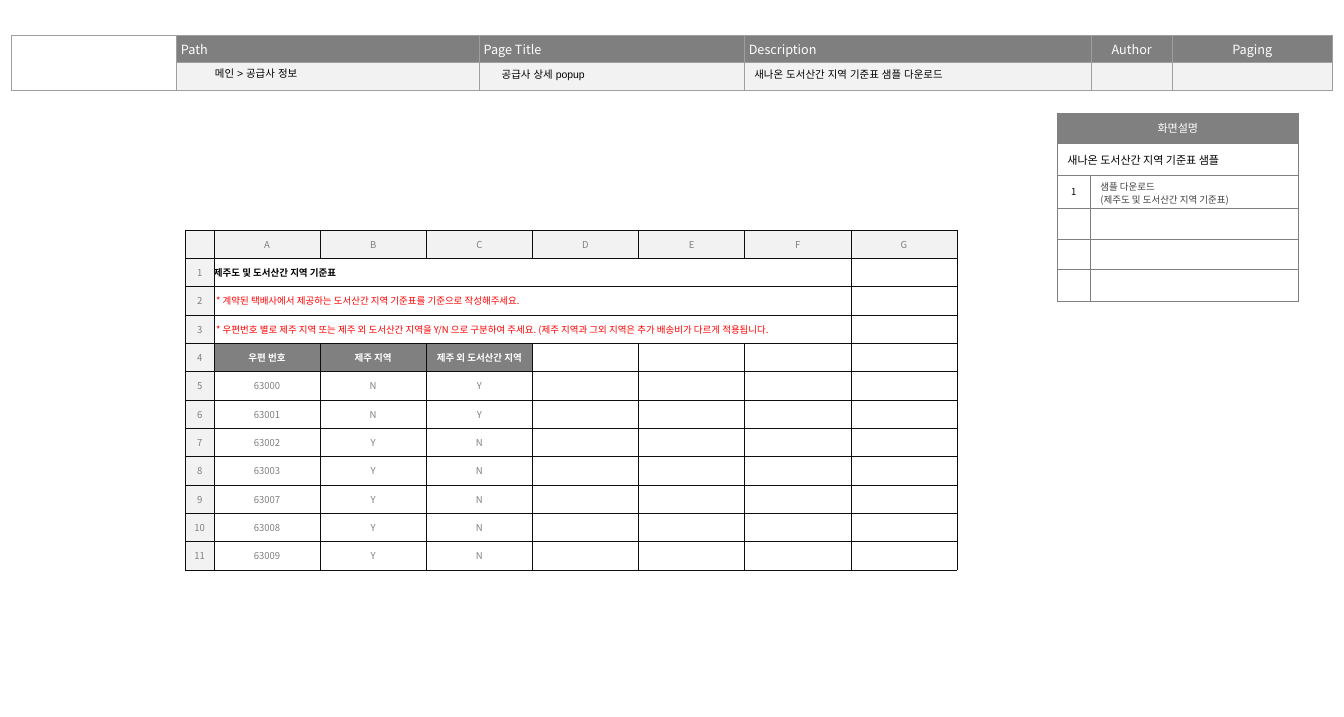
from lxml import etree
from pptx import Presentation
from pptx.dml.color import RGBColor
from pptx.enum.text import MSO_ANCHOR, PP_ALIGN
from pptx.oxml.ns import qn
from pptx.util import Inches, Pt

CENTER, LEFT = PP_ALIGN.CENTER, PP_ALIGN.LEFT
MIDDLE = MSO_ANCHOR.MIDDLE
COLORS = {
    "white": "FFFFFF", "black": "000000", "red": "FF0000", "gray": "808080",
    "header": "7F7F7F", "pale": "F2F2F2", "text": "404040",
    "header line": "9E9E9E", "sheet line": "0D0D0D",
}
KOREAN_FONT = "Noto Sans CJK KR"

presentation = Presentation()
presentation.slide_width = Inches(11.81)
presentation.slide_height = Inches(6.3)
slide = presentation.slides.add_slide(presentation.slide_layouts[6])


def write(text_frame, text, size, color, align=LEFT, bold=False, font=KOREAN_FONT):
    text_frame.text = text
    paragraph = text_frame.paragraphs[0]
    paragraph.alignment = align
    for run in paragraph.runs:
        run.font.size = Pt(size)
        run.font.bold = bold
        run.font.color.rgb = RGBColor.from_string(COLORS[color])
        run.font.name = font
        etree.SubElement(run.font._element, qn("a:ea"), typeface=font)


def add_grid(left, top, columns, rows, line, line_width, insets, open_edges):
    """Add a white table with ruled cells; open_edges lists sides without a line."""
    frame = slide.shapes.add_table(len(rows), len(columns), Inches(left), Inches(top),
                                   Inches(sum(columns)), Inches(sum(rows)))
    table = frame.table
    table.first_row = table.horz_banding = False
    for column, width in zip(table.columns, columns):
        column.width = Inches(width)
    for row_index, height in enumerate(rows):
        table.rows[row_index].height = Inches(height)
        for column_index in range(len(columns)):
            cell = table.cell(row_index, column_index)
            cell.vertical_anchor = MIDDLE
            cell.margin_left = cell.margin_right = Inches(insets[0])
            cell.margin_top = cell.margin_bottom = Inches(insets[1])
            etree.SubElement(cell.text_frame.paragraphs[0]._p, qn("a:endParaRPr"), sz="600")
            for side in "LRTB":
                edge = etree.SubElement(cell._tc.tcPr, qn("a:ln" + side), w=str(Pt(line_width)))
                if side in open_edges.get((row_index, column_index), ""):
                    etree.SubElement(edge, qn("a:noFill"))
                else:
                    fill = etree.SubElement(edge, qn("a:solidFill"))
                    etree.SubElement(fill, qn("a:srgbClr"), val=COLORS[line])
            cell.fill.solid()
            cell.fill.fore_color.rgb = RGBColor.from_string(COLORS["white"])
    return table


# Page header
header = add_grid(0.1, 0.31, [1.45, 2.66, 2.33, 3.05, 0.71, 0.45, 0.44, 0.52], [0.24, 0.24],
                  "header line", 0.75, (0.04, 0.04), {(1, 5): "R", (1, 6): "LR", (1, 7): "L"})
header.cell(0, 0).merge(header.cell(1, 0))
header.cell(0, 5).merge(header.cell(0, 7))
for row_index, fill in enumerate(["header", "pale"]):
    for column_index in range(1, 8):
        header.cell(row_index, column_index).fill.fore_color.rgb = RGBColor.from_string(COLORS[fill])
header_labels = [("Path", LEFT), ("Page Title", LEFT), ("Description", LEFT),
                 ("Author", CENTER), ("Paging", CENTER)]
for column_index, (label, align) in enumerate(header_labels, 1):
    write(header.cell(0, column_index).text_frame, label, 8, "white", align)

# Header values
for left, top, width, text in [
    (4.31, 0.55, 2.14, "공급사 상세 popup"),
    (6.53, 0.55, 2.87, "새나온 도서산간 지역 기준표 샘플 다운로드"),
    (1.79, 0.54, 2.5, "메인 > 공급사 정보"),
]:
    text_box = slide.shapes.add_textbox(Inches(left), Inches(top), Inches(width), Inches(0.21))
    text_box.text_frame.word_wrap = True
    write(text_box.text_frame, text, 6.6, "black", font="Arial")

# Screen notes
notes = add_grid(9.29, 0.99, [0.29, 1.83], [0.27, 0.28, 0.29, 0.27, 0.27, 0.28],
                 "gray", 0.25, (0.09, 0.05), {})
for row_index in range(2):
    notes.cell(row_index, 0).merge(notes.cell(row_index, 1))
notes.cell(0, 0).fill.fore_color.rgb = RGBColor.from_string(COLORS["gray"])
write(notes.cell(0, 0).text_frame, "화면설명", 7, "white", CENTER)
write(notes.cell(1, 0).text_frame, "새나온 도서산간 지역 기준표 샘플", 7, "black")
write(notes.cell(2, 0).text_frame, "1", 6, "black", CENTER)
description = notes.cell(2, 1)
description.margin_top, description.margin_bottom = Inches(0.03), Inches(0.01)
write(description.text_frame, "샘플 다운로드\v(제주도 및 도서산간 지역 기준표)", 6, "text")

# Spreadsheet sample: column letters and row numbers
sheet = add_grid(1.63, 2.02, [0.25] + [6.53 / 7] * 7, [2.99 / 12] * 12,
                 "sheet line", 0.25, (0, 0), {})
sheet.cell(0, 0).fill.fore_color.rgb = RGBColor.from_string(COLORS["pale"])
sheet_labels = [(0, index, letter) for index, letter in enumerate("ABCDEFG", 1)]
sheet_labels += [(number, 0, str(number)) for number in range(1, 12)]
for row_index, column_index, label in sheet_labels:
    cell = sheet.cell(row_index, column_index)
    cell.fill.fore_color.rgb = RGBColor.from_string(COLORS["pale"])
    write(cell.text_frame, label, 6, "gray", CENTER)

# Sheet title and instructions
for row_index, (text, color, bold, indent) in enumerate([
    ("제주도 및 도서산간 지역 기준표", "black", True, 0),
    ("* 계약된 택배사에서 제공하는 도서산간 지역 기준표를 기준으로 작성해주세요.", "red", False, 0.02),
    ("* 우편번호 별로 제주 지역 또는 제주 외 도서산간 지역을 Y/N 으로 구분하여 주세요. "
     "(제주 지역과 그외 지역은 추가 배송비가 다르게 적용됩니다.", "red", False, 0.02),
], 1):
    cell = sheet.cell(row_index, 1)
    cell.merge(sheet.cell(row_index, 6))
    cell.margin_left = Inches(indent)
    write(cell.text_frame, text, 6, color, bold=bold)

# Postal code columns
for column_index, label in enumerate(["우편 번호", "제주 지역", "제주 외 도서산간 지역"], 1):
    cell = sheet.cell(4, column_index)
    cell.fill.fore_color.rgb = RGBColor.from_string(COLORS["gray"])
    write(cell.text_frame, label, 6, "white", CENTER, bold=True)
postal_codes = [("63000", "N", "Y"), ("63001", "N", "Y"), ("63002", "Y", "N"), ("63003", "Y", "N"),
                ("63007", "Y", "N"), ("63008", "Y", "N"), ("63009", "Y", "N")]
for row_index, values in enumerate(postal_codes, 5):
    for column_index, value in enumerate(values, 1):
        write(sheet.cell(row_index, column_index).text_frame, value, 6, "gray", CENTER)

presentation.save("out.pptx")
